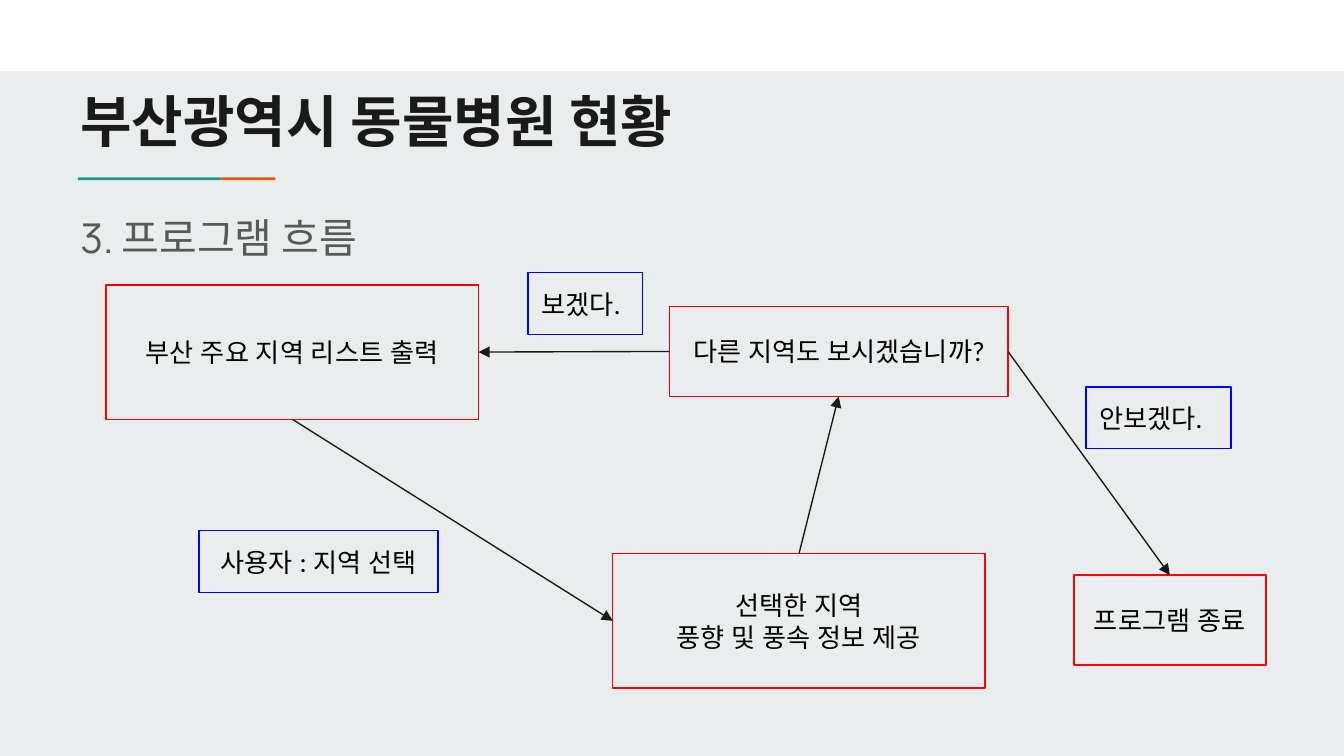
from dataclasses import dataclass

import pptx
import pptx.dml.color
import pptx.enum.shapes
import pptx.enum.text
import pptx.oxml.ns
import pptx.util
from lxml import etree

Inches = pptx.util.Inches
Pt = pptx.util.Pt
RECT = pptx.enum.shapes.MSO_SHAPE.RECTANGLE
ALIGN = pptx.enum.text.PP_ALIGN
ANCHOR = pptx.enum.text.MSO_ANCHOR
qn = pptx.oxml.ns.qn

COLORS = {
    "background": "E9EDEE",
    "band": "FFFFFF",
    "teal": "1A9988",
    "orange": "EB5600",
    "ink": "1A1A1A",
    "gray": "595959",
    "black": "000000",
    "step": "FF0000",
    "answer": "0000FF",
}
TOP, LEFT, BOTTOM, RIGHT = range(4)  # connection sites of a rectangle


@dataclass
class Box:
    name: str
    text: str
    x: float
    y: float
    w: float
    h: float
    line: str = "step"
    align: ALIGN = ALIGN.CENTER


@dataclass
class Arrow:
    start: str
    start_site: int
    end: str
    end_site: int


BOXES = [
    Box("list", "부산 주요 지역 리스트 출력", 0.79, 2.12, 2.77, 1),
    Box("info", "선택한 지역\n풍향 및 풍속 정보 제공", 4.56, 4.12, 2.77, 1),
    Box("select", "사용자 : 지역 선택", 1.48, 3.95, 1.78, 0.46, "answer"),
    Box("again", "다른 지역도 보시겠습니까?", 4.98, 2.28, 2.52, 0.67),
    Box("yes", "보겠다.", 3.93, 2.03, 0.85, 0.46, "answer", ALIGN.LEFT),
    Box("no", "안보겠다.", 8.08, 2.88, 1.08, 0.46, "answer", ALIGN.LEFT),
    Box("end", "프로그램 종료", 7.99, 4.28, 1.43, 0.67),
]
ARROWS = [
    Arrow("list", BOTTOM, "info", LEFT),
    Arrow("info", TOP, "again", BOTTOM),
    Arrow("again", LEFT, "list", RIGHT),
    Arrow("again", RIGHT, "end", TOP),
]


def rgb(name: str) -> pptx.dml.color.RGBColor:
    return pptx.dml.color.RGBColor.from_string(COLORS[name])


def write(sp, text: str, *, size: float, font: str, color: str, bold: bool = False,
          east_asian: bool = False, align: ALIGN = ALIGN.LEFT,
          anchor: ANCHOR = ANCHOR.TOP) -> None:
    """Fill a shape with text, one paragraph per line."""
    tf = sp.text_frame
    tf.word_wrap = True
    tf.vertical_anchor = anchor
    tf.margin_left = tf.margin_right = Inches(0.1)
    tf.margin_top = tf.margin_bottom = Inches(0.1)
    for i, line in enumerate(text.split("\n")):
        p = tf.add_paragraph() if i else tf.paragraphs[0]
        p.alignment = align
        r = p.add_run()
        r.text = line
        r.font.size = Pt(size)
        r.font.bold = bold
        r.font.color.rgb = rgb(color)
        r.font.name = font
        if east_asian:
            etree.SubElement(r.font._element, qn("a:ea")).set("typeface", font)


def add_bar(s, x: float, y: float, w: float, h: float, color: str) -> None:
    sp = s.shapes.add_shape(RECT, Inches(x), Inches(y), Inches(w), Inches(h))
    sp.shadow.inherit = False
    sp.fill.solid()
    sp.fill.fore_color.rgb = rgb(color)
    sp.line.fill.background()


def add_heading(s, text: str, x: float, y: float, w: float, h: float, **style) -> None:
    sp = s.shapes.add_textbox(Inches(x), Inches(y), Inches(w), Inches(h))
    write(sp, text, font="Manrope", **style)


def add_box(s, box: Box):
    sp = s.shapes.add_shape(RECT, Inches(box.x), Inches(box.y), Inches(box.w), Inches(box.h))
    sp.shadow.inherit = False
    sp.fill.background()
    sp.line.color.rgb = rgb(box.line)
    sp.line.width = Pt(0.75)
    write(sp, box.text, size=14, font="Lato", color="black", east_asian=True,
          align=box.align, anchor=ANCHOR.MIDDLE)
    return sp


def add_arrow(s, arrow: Arrow, shapes: dict) -> None:
    c = s.shapes.add_connector(pptx.enum.shapes.MSO_CONNECTOR.STRAIGHT, 0, 0, 0, 0)
    c.begin_connect(shapes[arrow.start], arrow.start_site)
    c.end_connect(shapes[arrow.end], arrow.end_site)
    c.line.color.rgb = rgb("ink")
    c.line.width = Pt(0.75)
    etree.SubElement(c.line._get_or_add_ln(), qn("a:tailEnd")).set("type", "triangle")
    etree.SubElement(c._element.spPr, qn("a:effectLst"))


def main() -> None:
    prs = pptx.Presentation()
    prs.slide_width = Inches(10)
    prs.slide_height = Inches(10) * 9 // 16  # widescreen
    s = prs.slides.add_slide(prs.slide_layouts[6])
    s.background.fill.solid()
    s.background.fill.fore_color.rgb = rgb("background")

    # Top band and two-colour rule under the title
    add_bar(s, 0, 0, 10, 0.53, "band")
    add_bar(s, 1.64, 1.32, 0.41, 0.02, "orange")
    add_bar(s, 0.58, 1.32, 1.06, 0.02, "teal")

    # Title and section heading
    add_heading(s, "부산광역시 동물병원 현황", 0.5, 0.54, 8.99, 0.79,
                size=30, color="ink", bold=True)
    add_heading(s, "3. 프로그램 흐름", 0.5, 1.48, 3.42, 3.77, size=22, color="gray")

    # Flowchart
    shapes = {box.name: add_box(s, box) for box in BOXES}
    for arrow in ARROWS:
        add_arrow(s, arrow, shapes)

    prs.save("out.pptx")


if __name__ == "__main__":
    main()
